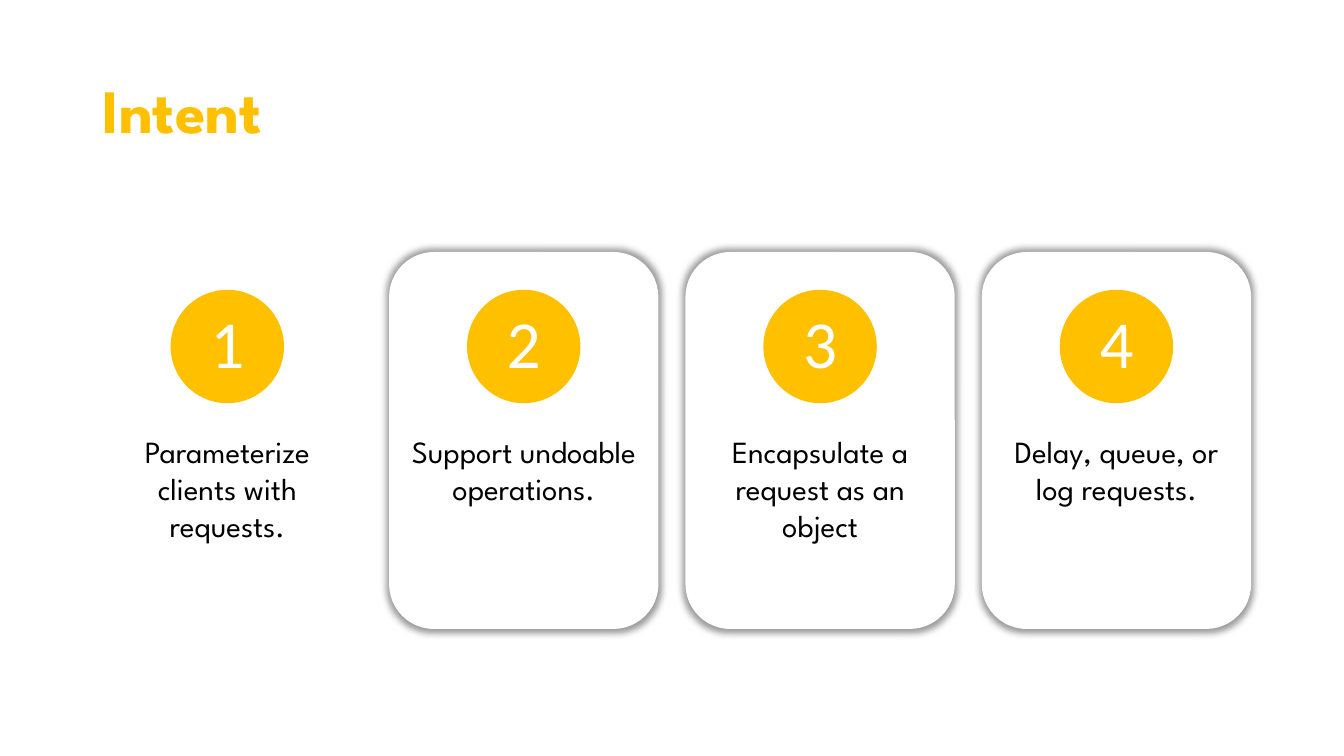
from lxml.etree import SubElement
from pptx import Presentation
from pptx.dml.color import RGBColor
from pptx.enum.shapes import MSO_SHAPE
from pptx.enum.text import MSO_ANCHOR, PP_ALIGN
from pptx.oxml.ns import qn
from pptx.util import Pt

AMBER, WHITE, BLACK = "FFC000", "FFFFFF", "000000"
HEADING_FONT, NUMBER_FONT = "League Spartan", "Calibri"
INTENTS = [
    "Parameterize clients with requests.",
    "Support undoable operations.",
    "Encapsulate a request as an object",
    "Delay, queue, or log requests.",
]
FIRST_LEFT, CARD_PITCH = 66.2, 211.7
CARD_TOP, CARD_WIDTH, CARD_HEIGHT = 180, 192.4, 269.3
CIRCLE_TOP, CIRCLE_SIZE, NUMBER_SIZE = 207, 81, 57


def colour(hex_code):
    """Turn a hex string into a colour."""
    return RGBColor.from_string(hex_code)


def add_text(page, text, left, top, width, height, font=HEADING_FONT, size=22,
             ink=BLACK, bold=False, align=PP_ALIGN.CENTER,
             anchor=MSO_ANCHOR.MIDDLE, spacing=0.9, inset=(7.2, 3.6)):
    """Add a wrapped text box holding one formatted paragraph."""
    box = page.shapes.add_textbox(Pt(left), Pt(top), Pt(width), Pt(height))
    frame = box.text_frame
    frame.word_wrap = True
    frame.vertical_anchor = anchor
    frame.margin_left = frame.margin_right = Pt(inset[0])
    frame.margin_top = frame.margin_bottom = Pt(inset[1])
    para = frame.paragraphs[0]
    para.alignment = align
    para.line_spacing = spacing
    span = para.add_run()
    span.text = text
    span.font.name = font
    span.font.size = Pt(size)
    span.font.bold = bold
    span.font.color.rgb = colour(ink)
    return box


def add_filled(page, kind, left, top, width, height, fill):
    """Add a filled preset shape without outline or shadow."""
    shape = page.shapes.add_shape(kind, Pt(left), Pt(top), Pt(width), Pt(height))
    shape.shadow.inherit = False
    shape.fill.solid()
    shape.fill.fore_color.rgb = colour(fill)
    shape.line.fill.background()
    return shape


def add_glow_shadow(shape):
    """Give a shape a soft grey shadow on all sides."""
    effects = shape.element.spPr.find(qn("a:effectLst"))
    shadow = SubElement(effects, qn("a:outerShdw"), blurRad=str(Pt(5)),
                        sx="102000", sy="102000", algn="ctr", rotWithShape="0")
    black = SubElement(shadow, qn("a:srgbClr"), val=BLACK)
    SubElement(black, qn("a:alpha"), val="40000")


def add_intent(page, index, text):
    """Add one numbered intent; all but the first sit on a card."""
    left = FIRST_LEFT + index * CARD_PITCH
    middle = left + CARD_WIDTH / 2
    if index:
        card = add_filled(page, MSO_SHAPE.ROUNDED_RECTANGLE, left, CARD_TOP,
                          CARD_WIDTH, CARD_HEIGHT, WHITE)
        add_glow_shadow(card)
    add_text(page, text, left, 283, CARD_WIDTH, 162, anchor=MSO_ANCHOR.TOP,
             spacing=1.0, inset=(15, 26))
    add_filled(page, MSO_SHAPE.OVAL, middle - CIRCLE_SIZE / 2, CIRCLE_TOP,
               CIRCLE_SIZE, CIRCLE_SIZE, AMBER)
    add_text(page, str(index + 1), middle - NUMBER_SIZE / 2,
             CIRCLE_TOP + (CIRCLE_SIZE - NUMBER_SIZE) / 2,
             NUMBER_SIZE, NUMBER_SIZE, font=NUMBER_FONT, size=48, ink=WHITE,
             inset=(6.3, 1))


def main():
    """Build the slide and save it."""
    deck = Presentation()
    deck.slide_width, deck.slide_height = Pt(960), Pt(540)
    page = deck.slides.add_slide(deck.slide_layouts[6])
    add_text(page, "Intent", FIRST_LEFT, 28.8, 828, 104.4, size=44, ink=AMBER,
             bold=True, align=PP_ALIGN.LEFT)
    for index, text in enumerate(INTENTS):
        add_intent(page, index, text)
    deck.save("out.pptx")


if __name__ == "__main__":
    main()
